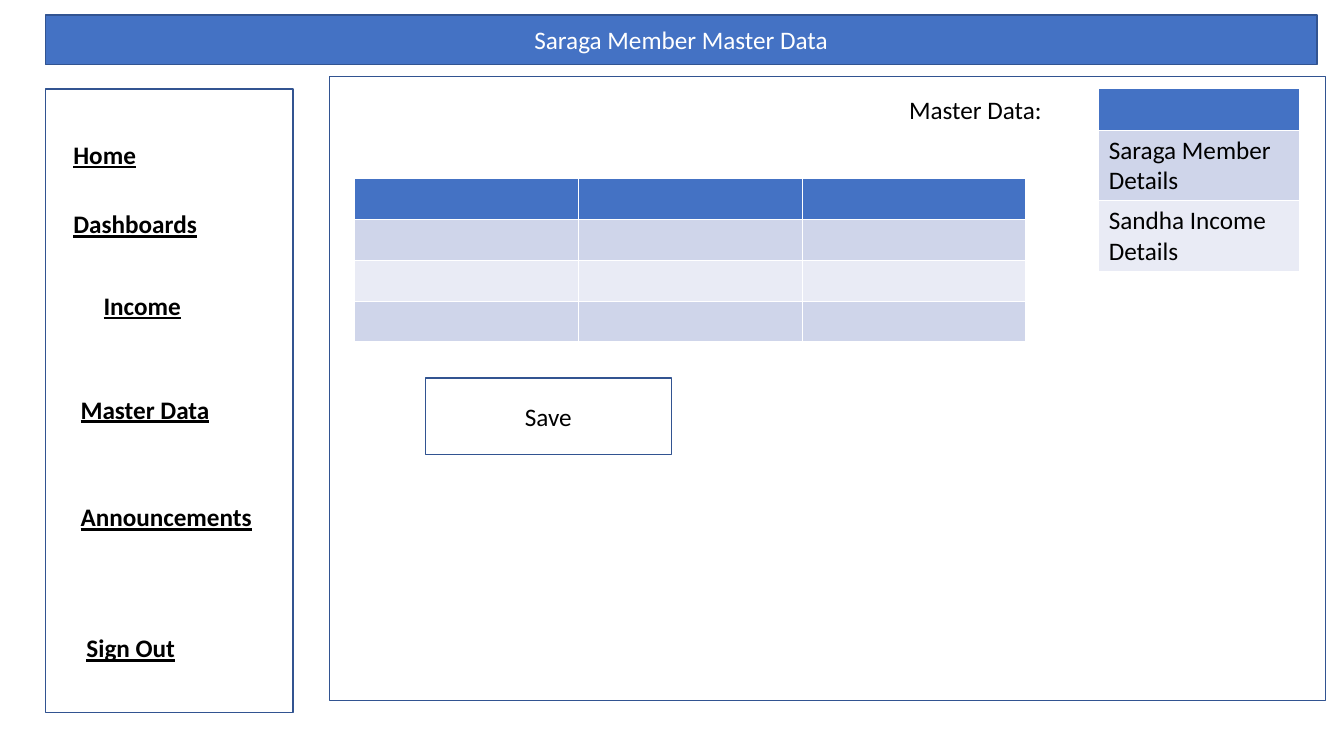
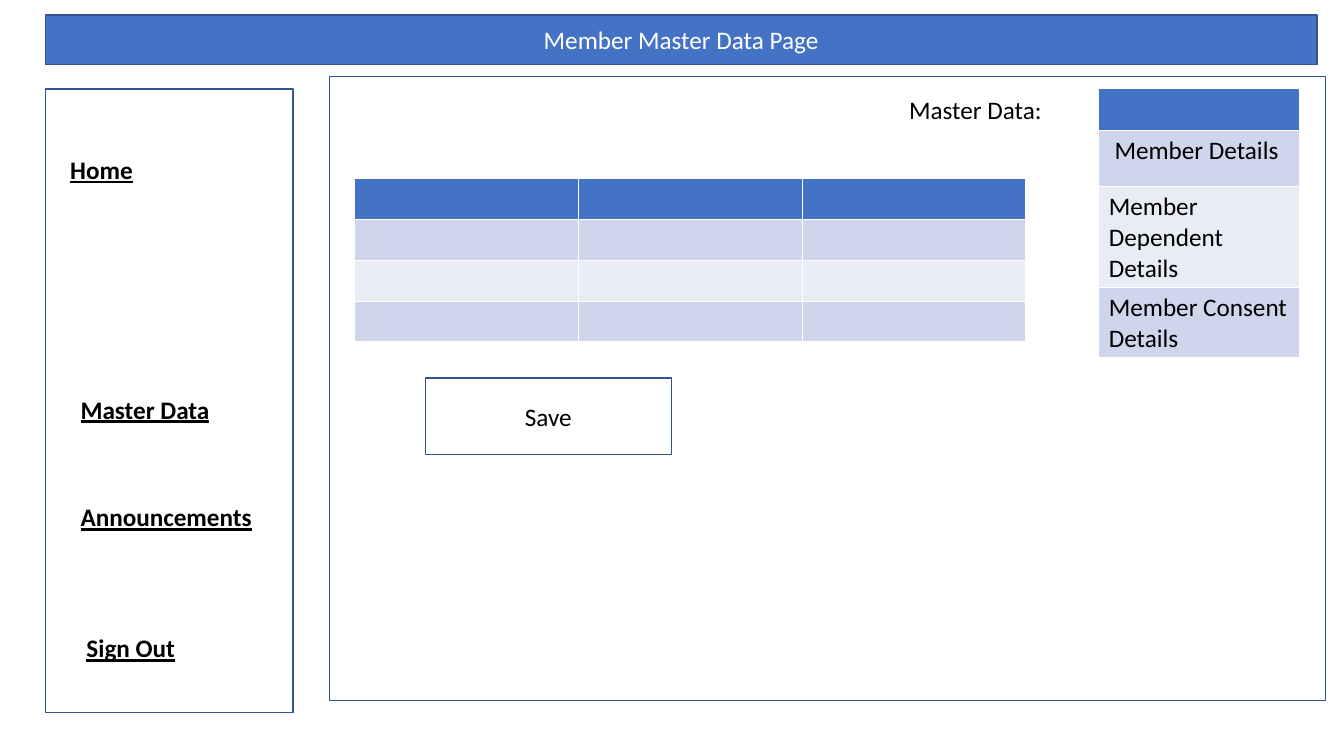
from pptx import Presentation
from pptx.dml.color import RGBColor
from pptx.enum.shapes import MSO_SHAPE
from pptx.enum.text import MSO_ANCHOR, MSO_AUTO_SIZE, PP_ALIGN
from pptx.util import Cm, Pt

RECT = MSO_SHAPE.RECTANGLE
MIDDLE, TOP = MSO_ANCHOR.MIDDLE, MSO_ANCHOR.TOP
LEFT, CENTER = PP_ALIGN.LEFT, PP_ALIGN.CENTER
NO_FIT, GROW = MSO_AUTO_SIZE.NONE, MSO_AUTO_SIZE.SHAPE_TO_FIT_TEXT

# Shared look
rgb = RGBColor.from_string
FONT = "Calibri"
BLUE, OUTLINE, WHITE, BLACK = "4472C4", "325491", "FFFFFF", "000000"
BANDS = ["CFD5EA", "E9EBF5"]

# Shared places in cm: left, top, width, height
TITLE_BAND = (1.14, 0.38, 32.05, 1.24)
SIDEBAR = (1.14, 2.24, 6.25, 15.72)
PANEL = (8.31, 1.93, 25.1, 15.72)
SAVE_BUTTON = (10.72, 9.53, 6.2, 1.93)
LABEL = (22.66, 2.24, 8.2, 1.02)
GRID_AT, GRID_COL, GRID_ROW = (8.94, 4.5), 5.64, 1.03
OPTIONS_AT, OPTIONS_COL, HEADER_ROW = (27.69, 2.24), 5.05, 1.04
NAV_WIDTH, NAV_HEIGHT = 6.25, 1.02

COMMON_NAV = [("Master Data", 1.78, 9.8), ("Announcements", 1.78, 12.52),
              ("Sign Out", 1.93, 15.82)]

# Title, menu entries (text, left, top), options (text, row height)
PAGES = [
    ("Saraga Member Master Data",
     [("Home", 1.6, 3.38), ("Dashboards", 1.6, 5.13), ("Income", 2.36, 7.19)],
     [("Saraga Member Details", 1.78), ("Sandha Income Details", 1.78)]),
    ("Member Master Data Page",
     [("Home", 1.52, 3.76)],
     [(" Member Details", 1.42), ("Member Dependent Details", 2.54),
      ("Member Consent Details", 1.78)]),
]


def write(tf, text, color=BLACK, bold=False, underline=False, align=LEFT,
          anchor=TOP, fit=None):
    tf.word_wrap = True
    tf.vertical_anchor = anchor
    if fit is not None:
        tf.auto_size = fit
    p = tf.paragraphs[0]
    p.alignment = align
    r = p.add_run()
    r.text = text
    r.font.name, r.font.size = FONT, Pt(18)
    r.font.bold, r.font.underline = bold, underline
    r.font.color.rgb = rgb(color)


def frame(sp, place, fill=WHITE):
    sp.left, sp.top, sp.width, sp.height = map(Cm, place)
    sp.shadow.inherit = False
    sp.fill.solid()
    sp.fill.fore_color.rgb = rgb(fill)
    sp.line.color.rgb = rgb(OUTLINE)
    sp.line.width = Pt(1)
    return sp


prs = Presentation()
prs.slide_width, prs.slide_height = Cm(33.87), Cm(19.05)
title_only = prs.slide_layouts[5]

for title, nav, options in PAGES:
    s = prs.slides.add_slide(title_only)

    # Title band
    band = frame(s.shapes.title, TITLE_BAND, BLUE)
    write(band.text_frame, title, color=WHITE, align=CENTER, anchor=MIDDLE,
          fit=NO_FIT)

    # Sidebar, main panel and save button
    for place, text in [(SIDEBAR, ""), (PANEL, ""), (SAVE_BUTTON, "Save")]:
        sp = frame(s.shapes.add_shape(RECT, *map(Cm, place)), place)
        if text:
            write(sp.text_frame, text, align=CENTER, anchor=MIDDLE)

    # Menu entries
    for text, left, top in nav + COMMON_NAV:
        sp = s.shapes.add_textbox(Cm(left), Cm(top), Cm(NAV_WIDTH), Cm(NAV_HEIGHT))
        write(sp.text_frame, text, bold=True, underline=True, fit=GROW)

    # Selector label
    sp = s.shapes.add_textbox(*map(Cm, LABEL))
    write(sp.text_frame, "Master Data:", fit=GROW)

    # Option list and data grid
    option_rows = [([""], HEADER_ROW)] + [([text], height) for text, height in options]
    grid_rows = [([""] * 3, GRID_ROW)] * 4
    for (left, top), col_width, rows in [(OPTIONS_AT, OPTIONS_COL, option_rows),
                                         (GRID_AT, GRID_COL, grid_rows)]:
        n_cols = len(rows[0][0])
        height = sum(row_height for _, row_height in rows)
        table = s.shapes.add_table(len(rows), n_cols, Cm(left), Cm(top),
                                   Cm(col_width * n_cols), Cm(height)).table
        for i, (texts, row_height) in enumerate(rows):
            table.rows[i].height = Cm(row_height)
            for j, text in enumerate(texts):
                cell = table.cell(i, j)
                cell.fill.solid()
                cell.fill.fore_color.rgb = rgb(BANDS[(i - 1) % 2] if i else BLUE)
                if text:
                    write(cell.text_frame, text)

prs.save("out.pptx")
